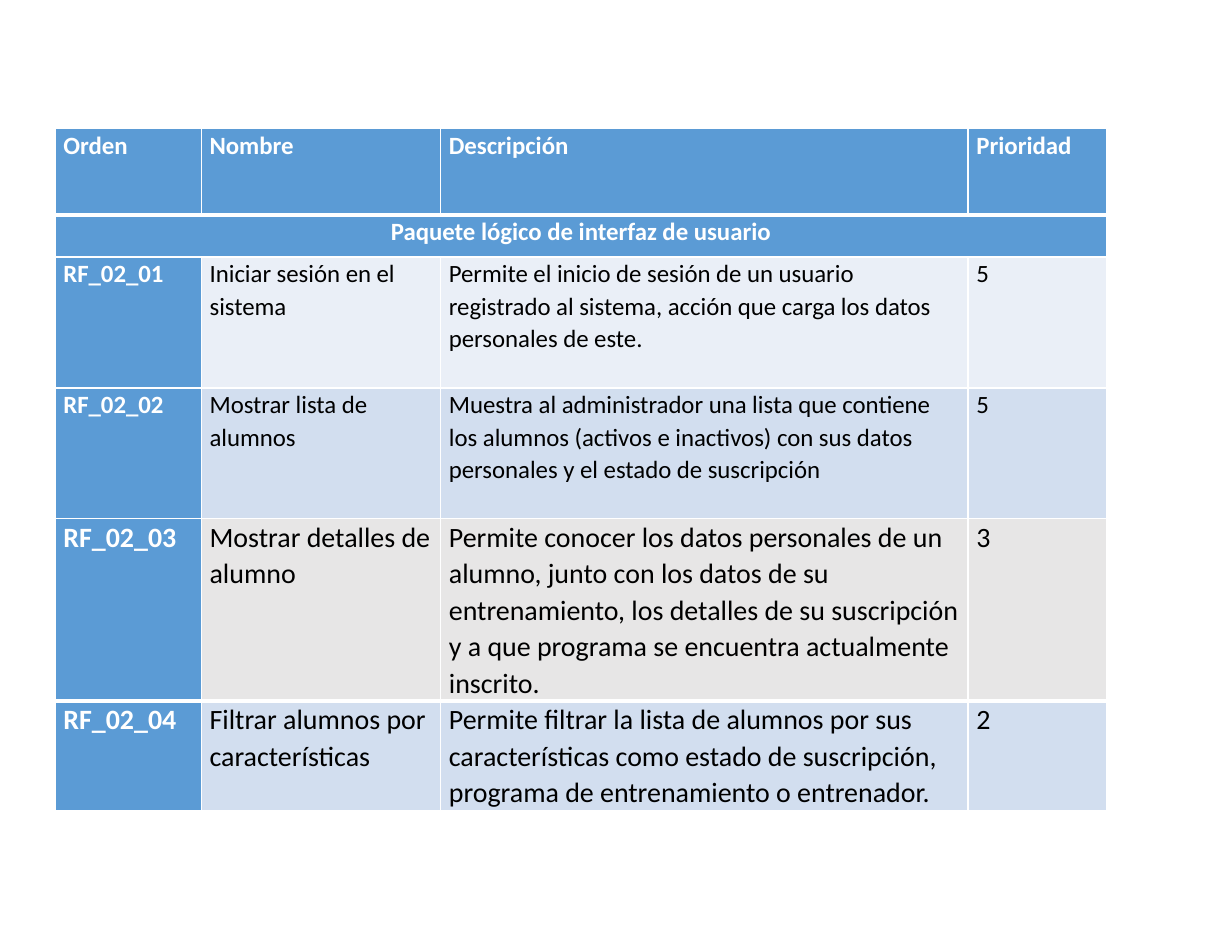
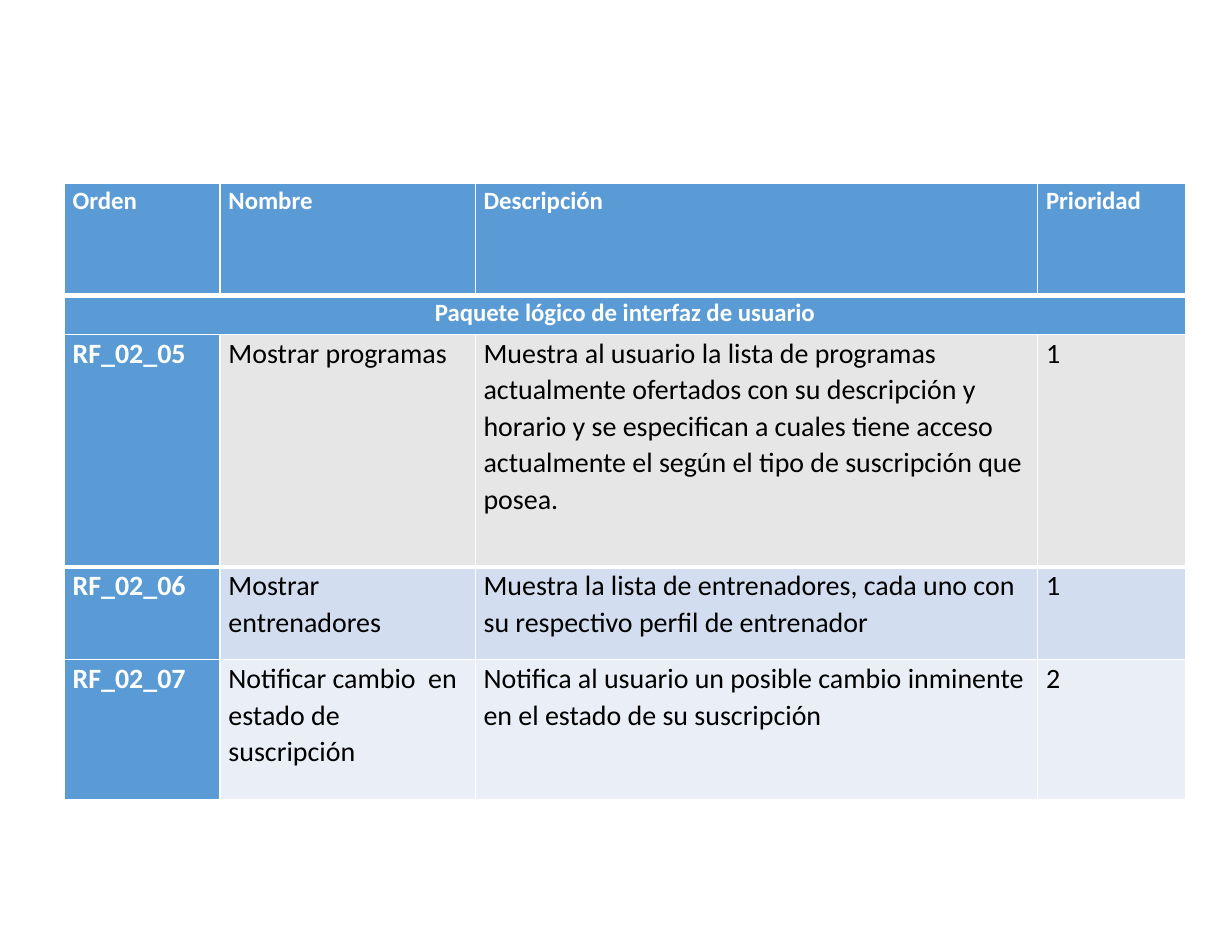
from lxml.etree import SubElement
from pptx import Presentation
from pptx.dml.color import RGBColor
from pptx.enum.text import PP_ALIGN
from pptx.oxml.ns import qn
from pptx.util import Cm, Pt

BLUE, PALE, LIGHT, GREY = "5B9BD5", "EAEFF7", "D2DEEF", "E7E6E6"
WHITE, BLACK = "FFFFFF", "000000"
FONT = "Calibri"
COLUMN_SHARES = (0.139, 0.2275, 0.5015, 0.132)
HEADINGS = ("Orden", "Nombre", "Descripción", "Prioridad")
PACKAGE = ("Paquete lógico de interfaz de usuario",)

SLIDES = [
    [
        ((1.25, 2.92, 23.9), 16, [
            (1.96, BLUE, HEADINGS),
            (0.96, BLUE, PACKAGE),
            (2.97, PALE, (
                "RF_02_01", "Iniciar sesión en el sistema",
                "Permite el inicio de sesión de un usuario registrado al sistema, "
                "acción que carga los datos personales de este.", "5")),
            (2.97, LIGHT, (
                "RF_02_02", "Mostrar lista de alumnos",
                "Muestra al administrador una lista que contiene los alumnos "
                "(activos e inactivos) con sus datos personales y el estado de "
                "suscripción", "5")),
        ]),
        ((1.25, 11.77, 23.9), 18, [
            (4.14, GREY, (
                "RF_02_03", "Mostrar detalles de alumno",
                "Permite conocer los datos personales de un alumno, junto con los "
                "datos de su entrenamiento, los detalles de su suscripción y a que "
                "programa se encuentra actualmente inscrito.", "3")),
            (2.48, LIGHT, (
                "RF_02_04", "Filtrar alumnos por características",
                "Permite filtrar la lista de alumnos por sus características como "
                "estado de suscripción, programa de entrenamiento o entrenador.",
                "2")),
        ]),
    ],
    [
        ((1.46, 4.17, 25.48), 16, [
            (2.54, BLUE, HEADINGS),
            (1.24, BLUE, PACKAGE),
        ]),
        ((1.46, 7.59, 25.48), 18, [
            (5.28, GREY, (
                "RF_02_05", "Mostrar programas",
                "Muestra al usuario la lista de programas actualmente ofertados con "
                "su descripción y horario y se especifican a cuales tiene acceso "
                "actualmente el según el tipo de suscripción que posea.", "1")),
            (2.11, LIGHT, (
                "RF_02_06", "Mostrar entrenadores",
                "Muestra la lista de entrenadores, cada uno con su respectivo perfil "
                "de entrenador", "1")),
            (3.18, PALE, (
                "RF_02_07", "Notificar cambio  en estado de suscripción",
                "Notifica al usuario un posible cambio inminente en el estado de su "
                "suscripción", "2")),
        ]),
    ],
]


def rgb(color):
    return RGBColor.from_string(color)


def write(tf, text, size=16, color=BLACK, bold=False, align=PP_ALIGN.LEFT):
    tf.word_wrap = True
    p = tf.paragraphs[0]
    p.alignment = align
    p.line_spacing = 1.07
    r = p.add_run()
    r.text = text
    r.font.name = FONT
    r.font.size = Pt(size)
    r.font.bold = bold
    r.font.color.rgb = rgb(color)


def set_borders(cell, top=1, bottom=1):
    tcPr = cell._tc.get_or_add_tcPr()
    for side, width in (("L", 1), ("R", 1), ("T", top), ("B", bottom)):
        ln = SubElement(tcPr, qn(f"a:ln{side}"), w=str(Pt(width)))
        fill = SubElement(ln, qn("a:solidFill"))
        SubElement(fill, qn("a:srgbClr"), val=WHITE)


def style_cell(cell, fill, row):
    cell.margin_left = cell.margin_right = Cm(0.19)
    cell.margin_top = cell.margin_bottom = 0
    set_borders(cell, top=3 if row == 1 else 1, bottom=3 if row == 0 else 1)
    cell.fill.solid()
    cell.fill.fore_color.rgb = rgb(fill)


def add_requirements(s, box, size, rows):
    left, top, width = box
    height = sum(row[0] for row in rows)
    table = s.shapes.add_table(len(rows), len(COLUMN_SHARES), Cm(left), Cm(top),
                               Cm(width), Cm(height)).table
    table.first_row = table.horz_banding = False
    for column, share in zip(table.columns, COLUMN_SHARES):
        column.width = Cm(width * share)
    for i, (row_height, row_fill, texts) in enumerate(rows):
        table.rows[i].height = Cm(row_height)
        for j in range(len(COLUMN_SHARES)):
            style_cell(table.cell(i, j), BLUE if j == 0 else row_fill, i)
        spans = len(texts) == 1
        if spans:
            table.cell(i, 0).merge(table.cell(i, len(COLUMN_SHARES) - 1))
        for j, text in enumerate(texts):
            strong = j == 0 or row_fill == BLUE
            write(table.cell(i, j).text_frame, text, size=size, bold=strong,
                  color=WHITE if strong else BLACK,
                  align=PP_ALIGN.CENTER if spans else PP_ALIGN.LEFT)


def main():
    prs = Presentation()
    prs.slide_width, prs.slide_height = Cm(27.99), Cm(21.62)
    for tables in SLIDES:
        s = prs.slides.add_slide(prs.slide_layouts[6])
        for box, size, rows in tables:
            add_requirements(s, box, size, rows)
    prs.save("out.pptx")


if __name__ == "__main__":
    main()
